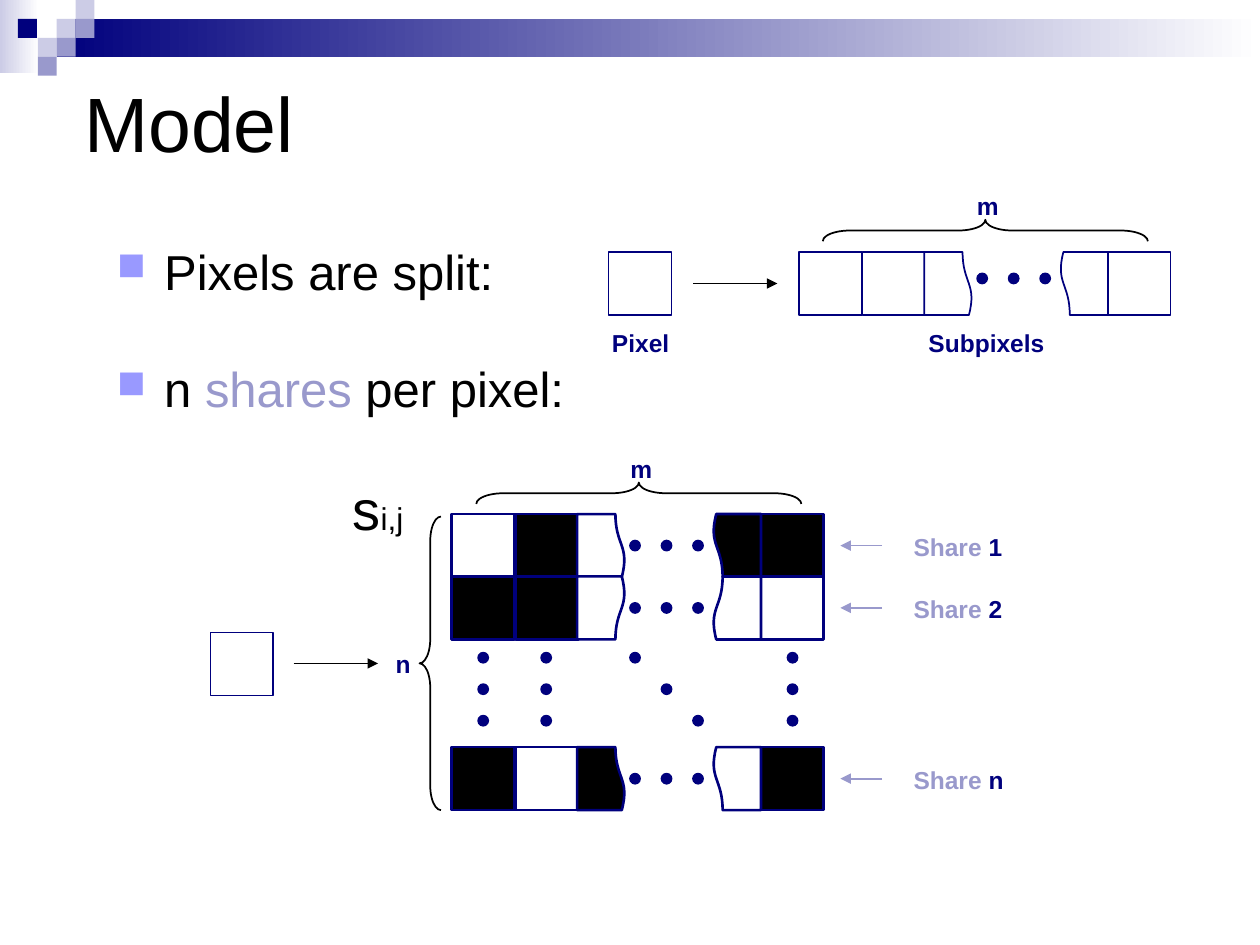
from dataclasses import dataclass
from typing import NamedTuple

import pptx
import pptx.dml.color
import pptx.enum.shapes
import pptx.enum.text
import pptx.oxml.ns
import pptx.util
from lxml import etree

KIND = pptx.enum.shapes.MSO_SHAPE
ALIGN = pptx.enum.text.PP_ALIGN
ANCHOR = pptx.enum.text.MSO_ANCHOR


@dataclass(frozen=True)
class Theme:
    font: str = "Arial"
    navy: str = "00007D"
    lilac: str = "9999CC"
    pale: str = "CCCCE6"
    bullet: str = "9999FF"
    black: str = "000000"
    white: str = "FFFFFF"
    title: int = 44
    body: int = 28
    symbol: int = 32
    index: int = 18
    label: int = 14


class Box(NamedTuple):
    """Left, top, width and height in grid columns and rows."""
    left: float
    top: float
    width: float
    height: float


class Span(NamedTuple):
    text: str
    color: str
    size: int
    bold: bool = False


class Strip(NamedTuple):
    """A torn row of pixels: three pieces left of the gap, two right of it."""
    left: float
    top: float
    fills: tuple[str, ...]
    weight: float
    dots_at: float = 0.5
    mirrored: bool = False


class Share(NamedTuple):
    top: float
    fills: tuple[str, ...]
    spans: tuple[Span, ...]
    mirrored: bool = False


# The grid: 20 columns by 15 rows, so one pixel of the diagram is one cell
COLUMNS, ROWS = 20, 15
THEME = Theme()
deck = pptx.Presentation()
deck.slide_width, deck.slide_height = pptx.util.Inches(10), pptx.util.Inches(7.5)
page = deck.slides.add_slide(deck.slide_layouts[6])
DOT, DOT_GAP = 0.16, 0.5
DOT_START = 2.91
INSET_X, INSET_Y = 0.2, 0.1


def across(columns: float) -> int:
    return round(deck.slide_width * columns / COLUMNS)


def down(rows: float) -> int:
    return round(deck.slide_height * rows / ROWS)


def place(box: Box) -> tuple[int, int, int, int]:
    return across(box.left), down(box.top), across(box.width), down(box.height)


def rgb(color: str) -> pptx.dml.color.RGBColor:
    return pptx.dml.color.RGBColor.from_string(color)


def assign(target, values: dict) -> None:
    for name, value in values.items():
        setattr(target, name, value)


def add_shape(kind, box: Box, fill: str | None, line: str | None = None, weight: float = 1):
    shape = page.shapes.add_shape(kind, *place(box))
    shape.shadow.inherit = False
    if fill:
        shape.fill.solid()
        shape.fill.fore_color.rgb = rgb(fill)
    else:
        shape.fill.background()
    if line:
        shape.line.color.rgb = rgb(line)
        shape.line.width = pptx.util.Pt(weight)
    else:
        shape.line.fill.background()
    return shape


def add_gradient(box: Box, start: str) -> None:
    shape = add_shape(KIND.RECTANGLE, box, start)
    shape.fill.gradient()
    shape.fill.gradient_angle = 0
    for stop, color in zip(shape.fill.gradient_stops, (start, THEME.white)):
        stop.color.rgb = rgb(color)


def add_pixel(left: float, top: float, fill: str = THEME.white, weight: float = 1) -> None:
    add_shape(KIND.RECTANGLE, Box(left, top, 1, 1), fill, THEME.navy, weight)


def add_dot(x: float, y: float) -> None:
    add_shape(KIND.OVAL, Box(x - DOT / 2, y - DOT / 2, DOT, DOT), THEME.navy, THEME.navy)


def add_torn(center: float, top: float, fill: str, weight: float, right: bool, mirrored: bool) -> None:
    """A piece with its wavy edge on the right or the left."""
    box = Box(center - 0.5, top + 0.12, 1, 0.76)
    shape = add_shape(KIND.FLOWCHART_DOCUMENT, box, fill, THEME.navy, weight)
    shape.rotation = 90 if mirrored else 270
    flips = {(True, False): (), (False, False): ("flipH", "flipV"),
             (True, True): ("flipV",), (False, True): ("flipH",)}
    for flip in flips[right, mirrored]:
        shape._element.spPr.xfrm.set(flip, "1")


def add_strip(strip: Strip) -> None:
    left, top, weight = strip.left, strip.top, strip.weight
    first, second, third, fourth, last = strip.fills
    for offset, fill in ((4.9, last), (1.01, second), (0, first)):
        add_pixel(left + offset, top, fill, weight)
    add_torn(left + 2.37, top, third, weight, True, strip.mirrored)
    add_torn(left + 4.53, top, fourth, weight, False, strip.mirrored)
    for step in range(3):
        add_dot(left + DOT_START + step * DOT_GAP, top + strip.dots_at)


def add_brace(x: float, y: float, length: float, rotation: int = 0) -> None:
    """A brace centred on x, y; its tip points left before it is turned."""
    width = 0.34
    box = Box(x - width / 2, y - length / 2, width, length)
    shape = add_shape(KIND.LEFT_BRACE, box, None, THEME.black)
    shape.adjustments[0] = length / 12 / width
    shape.rotation = rotation


def add_arrow(start: float, end: float, y: float, color: str) -> None:
    arrow = page.shapes.add_connector(pptx.enum.shapes.MSO_CONNECTOR.STRAIGHT,
                                      across(start), down(y), across(end), down(y))
    arrow.line.color.rgb = rgb(color)
    arrow.line.width = pptx.util.Pt(1)
    etree.SubElement(arrow.line._get_or_add_ln(), pptx.oxml.ns.qn("a:tailEnd"), type="triangle")
    etree.SubElement(arrow._element.spPr, pptx.oxml.ns.qn("a:effectLst"))


def add_text(box: Box, spans: tuple[Span, ...], align=ALIGN.LEFT, anchor=ANCHOR.TOP, inset: bool = False):
    frame = page.shapes.add_textbox(*place(box)).text_frame
    side, edge = (across(INSET_X), down(INSET_Y)) if inset else (0, 0)
    assign(frame, {"word_wrap": True, "vertical_anchor": anchor, "margin_left": side,
                   "margin_right": side, "margin_top": edge, "margin_bottom": edge})
    para = frame.paragraphs[0]
    para.alignment = align
    for span in spans:
        run = para.add_run()
        run.text = span.text
        assign(run.font, {"name": THEME.font, "size": pptx.util.Pt(span.size), "bold": span.bold})
        run.font.color.rgb = rgb(span.color)
    return para


def add_bullet(top: float, spans: tuple[Span, ...]) -> None:
    para = add_text(Box(1.66, top, 17, 1), spans, inset=True)
    assign(para, {"line_spacing": 0.9, "space_before": pptx.util.Pt(7)})
    props = para._p.get_or_add_pPr()
    props.set("marL", str(across(0.75)))
    props.set("indent", str(-across(0.75)))
    color = etree.SubElement(props, pptx.oxml.ns.qn("a:buClr"))
    etree.SubElement(color, pptx.oxml.ns.qn("a:srgbClr"), val=THEME.bullet)
    etree.SubElement(props, pptx.oxml.ns.qn("a:buSzPct"), val="80000")
    etree.SubElement(props, pptx.oxml.ns.qn("a:buChar"), char="■")


def label(text: str, color: str = THEME.navy) -> Span:
    return Span(text, color, THEME.label, True)


def body(text: str, color: str = THEME.black) -> Span:
    return Span(text, color, THEME.body)


# Header band with its mosaic
add_gradient(Box(0, 0, 0.62, 1.16), THEME.pale)
add_gradient(Box(0.9, 0.3, 19.1, 0.6), THEME.navy)
for column, row, color in ((3, 1, THEME.pale), (4, 0, THEME.pale), (4, 1, THEME.lilac), (2, 2, THEME.pale),
                           (0.95, 1, THEME.navy), (3, 2, THEME.lilac), (2, 3, THEME.lilac)):
    add_shape(KIND.RECTANGLE, Box(column * 0.3, row * 0.3, 0.3, 0.3), color)

# Title and bullets
add_text(Box(1.14, 1.14, 17.66, 1.6), (Span("Model", THEME.black, THEME.title),), anchor=ANCHOR.MIDDLE, inset=True)
add_bullet(3.84, (body("Pixels are split:"),))
add_bullet(5.7, (body("n "), body("shares", THEME.lilac), body(" per pixel:")))

# One pixel split into subpixels
add_pixel(9.66, 4)
add_arrow(11, 12.34, 4.5, THEME.black)
add_strip(Strip(12.68, 4, (THEME.white,) * 5, 1, dots_at=0.42))
add_brace(15.64, 3.66, 5.16, 90)

# Shares as rows of a matrix
MATRIX = 7.17
B, W = THEME.black, THEME.white
shares = (Share(8.16, (W, B, W, B, B), (label("Share ", THEME.lilac), label("1"))),
          Share(9.15, (B, B, W, W, W), (label("Share ", THEME.lilac), label("2")), True),
          Share(11.86, (B, W, B, W, B), (label("Share", THEME.lilac), label(" n"))))
for share in shares:
    add_strip(Strip(MATRIX, share.top, share.fills, 1.5, mirrored=share.mirrored))
    add_arrow(14, 13.34, share.top + 0.5, THEME.lilac)
    add_text(Box(14.5, share.top + 0.28, 1.5, 0.46), share.spans)
for step in range(3):
    for offset in (0.5, 1.5, 5.41, DOT_START + step * DOT_GAP):
        add_dot(MATRIX + offset, 10.44 + step * DOT_GAP)
add_pixel(3.34, 10.04)
add_arrow(4.66, 6, 10.53, THEME.black)
add_brace(10.14, 7.83, 5.16, 90)
add_brace(6.83, 10.53, 4.66)

# Captions
for box, text in ((Box(15.44, 3.04, 0.48, 0.46), "m"), (Box(9.94, 7.2, 0.48, 0.46), "m"),
                  (Box(6.16, 10.3, 0.48, 0.46), "n"), (Box(9.5, 5.2, 1.34, 0.46), "Pixel"),
                  (Box(14.66, 5.2, 2, 0.46), "Subpixels")):
    add_text(box, (label(text),), ALIGN.CENTER)
add_text(Box(5, 7.54, 2, 1.06), (Span("s", THEME.black, THEME.symbol), Span("i,j", THEME.black, THEME.index)),
         ALIGN.CENTER)

deck.save("out.pptx")
